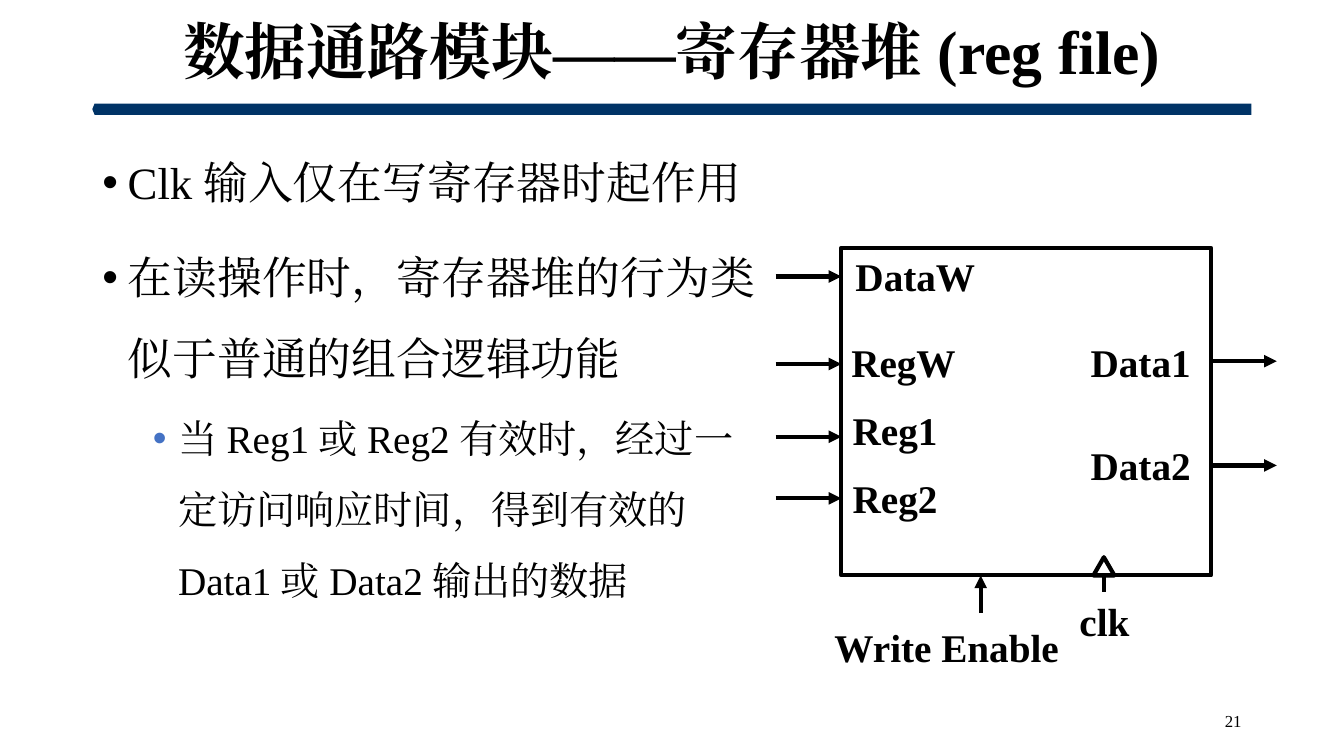
"""Builds the register file slide of a datapath lecture."""
from lxml import etree
from pptx import Presentation
from pptx import util as u
from pptx.dml.color import RGBColor
from pptx.enum import lang, shapes, text
from pptx.oxml import ns

BLACK = RGBColor(0x00, 0x00, 0x00)
NAVY = RGBColor(0x00, 0x33, 0x66)
BLUE = RGBColor(0x44, 0x72, 0xC4)


class SlideBuilder:
    font = "Times New Roman"
    line_width = 3

    def __init__(self, deck):
        self.page = deck.slides.add_slide(deck.slide_layouts[1])

    def place(self, box, left, top, width, height):
        box.left, box.top = u.Pt(left), u.Pt(top)
        box.width, box.height = u.Pt(width), u.Pt(height)
        box.text_frame.word_wrap = True
        box.text_frame.auto_size = text.MSO_AUTO_SIZE.NONE

    def span(self, para, words, size, bold=False):
        span = para.add_run()
        span.text = words
        span.font.name = self.font
        span.font.size = u.Pt(size)
        span.font.bold = bold
        span.font.color.rgb = BLACK
        span.font.language_id = lang.MSO_LANGUAGE_ID.SIMPLIFIED_CHINESE
        latin = span.font._element.find(ns.qn("a:latin"))
        east_asian = etree.Element(ns.qn("a:ea"), typeface=self.font)
        latin.addnext(east_asian)

    def title(self, words, area, size):
        box = self.page.shapes.title
        self.place(box, *area)
        box.text_frame.vertical_anchor = text.MSO_ANCHOR.MIDDLE
        para = box.text_frame.paragraphs[0]
        para.alignment = text.PP_ALIGN.CENTER
        para.line_spacing = 0.9
        self.span(para, words, size, bold=True)

    def bullet(self, para, color, margin, hanging):
        props = para._p.get_or_add_pPr()
        props.set("marL", str(u.Pt(margin)))
        props.set("indent", str(-u.Pt(hanging)))
        bullet_color = etree.SubElement(props, ns.qn("a:buClr"))
        etree.SubElement(bullet_color, ns.qn("a:srgbClr"), val=str(color))
        etree.SubElement(props, ns.qn("a:buFont"), typeface="Arial")
        etree.SubElement(props, ns.qn("a:buChar"), char="•")

    def body(self, items, area):
        box = self.page.placeholders[1]
        self.place(box, *area)
        frame = box.text_frame
        for index, (level, words) in enumerate(items):
            para = frame.add_paragraph() if index else frame.paragraphs[0]
            para.level = level
            self.bullet(para, (BLACK, BLUE)[level], 18 + 36 * level, 18)
            para.line_spacing = 1.5
            para.space_before = u.Pt((10, 5)[level] if index else 0)
            self.span(para, words, (32, 28)[level])

    def label(self, words, area, size=28, bold=True, align=text.PP_ALIGN.LEFT,
              anchor=text.MSO_ANCHOR.TOP):
        box = self.page.shapes.add_textbox(0, 0, 0, 0)
        self.place(box, *area)
        box.text_frame.vertical_anchor = anchor
        para = box.text_frame.paragraphs[0]
        para.alignment = align
        self.span(para, words, size, bold)

    def shape(self, kind, area):
        shape = self.page.shapes.add_shape(kind, *map(u.Pt, area))
        shape.shadow.inherit = False
        return shape

    def outline(self, kind, area):
        shape = self.shape(kind, area)
        shape.fill.background()
        shape.line.color.rgb = BLACK
        shape.line.width = u.Pt(self.line_width)

    def bar(self, area):
        bar = self.shape(shapes.MSO_SHAPE.PENTAGON, area)
        bar.adjustments[0] = 0.2
        bar._element.spPr.xfrm.set("flipH", "1")
        bar.fill.solid()
        bar.fill.fore_color.rgb = NAVY
        bar.line.fill.background()

    def wire(self, start, end, arrow=True):
        wire = self.page.shapes.add_connector(
            shapes.MSO_CONNECTOR.STRAIGHT, *map(u.Pt, start + end))
        wire.line.color.rgb = BLACK
        wire.line.width = u.Pt(self.line_width)
        if arrow:
            etree.SubElement(wire.line._get_or_add_ln(), ns.qn("a:tailEnd"),
                             type="triangle")
        etree.SubElement(wire._element.spPr, ns.qn("a:effectLst"))


def main():
    deck = Presentation()
    deck.slide_width, deck.slide_height = u.Pt(960), u.Pt(540)
    slide = SlideBuilder(deck)

    slide.bar((66, 74, 828, 8))
    slide.title("数据通路模块——寄存器堆(reg file)", (66, 9.5, 828, 59), 44)
    slide.body([
        (0, "Clk输入仅在写寄存器时起作用"),
        (0, "在读操作时，寄存器堆的行为类似于普通的组合逻辑功能"),
        (1, "当Reg1或Reg2有效时，经过一定访问响应时间，得到有效的Data1或Data2输出的数据"),
    ], (66, 88, 485, 398))
    slide.label("21", (678, 500.5, 216, 29), 12, False,
                text.PP_ALIGN.RIGHT, text.MSO_ANCHOR.MIDDLE)

    left, top, width, height = 601, 177, 264, 234
    right, bottom = left + width, top + height
    slide.outline(shapes.MSO_SHAPE.RECTANGLE, (left, top, width, height))

    inputs = [("DataW", 604, 176.5, 197.5), ("RegW", 601, 238, 260),
              ("Reg1", 602, 286.5, 312), ("Reg2", 602, 335, 356)]
    for name, label_left, label_top, wire_y in inputs:
        slide.label(name, (label_left, label_top, 150, 41))
        slide.wire((left - 47, wire_y), (left, wire_y))

    outputs = [("Data1", 238, 258), ("Data2", 312, 332.5)]
    for name, label_top, wire_y in outputs:
        slide.label(name, (772, label_top, 94, 41))
        slide.wire((right, wire_y), (right + 47, wire_y))

    slide.label("Write Enable", (589, 442, 188, 41))
    slide.wire((700.5, bottom + 27), (700.5, bottom))

    slide.label("clk", (764, 423, 94, 41))
    slide.outline(shapes.MSO_SHAPE.ISOSCELES_TRIANGLE,
                  (781, bottom - 13, 15, 13))
    slide.wire((788.5, bottom), (788.5, bottom + 12), arrow=False)

    deck.save("out.pptx")


if __name__ == "__main__":
    main()
